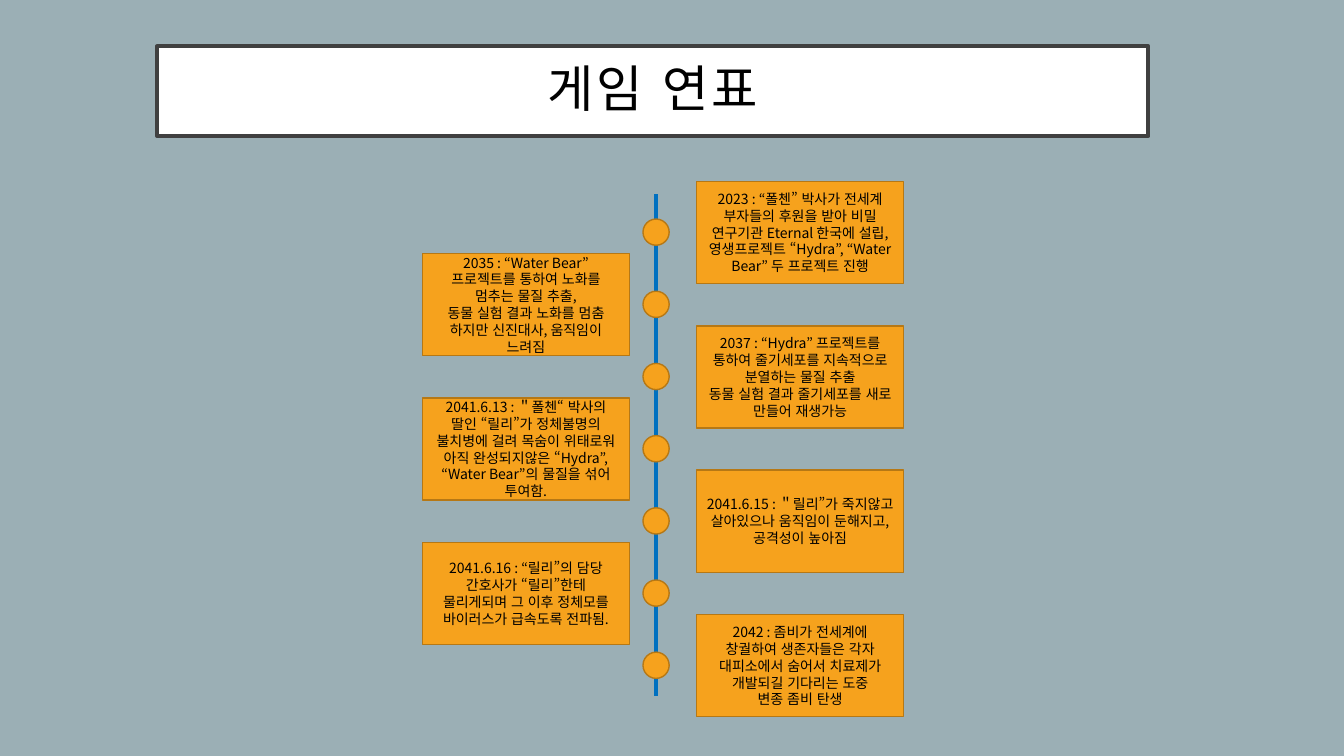
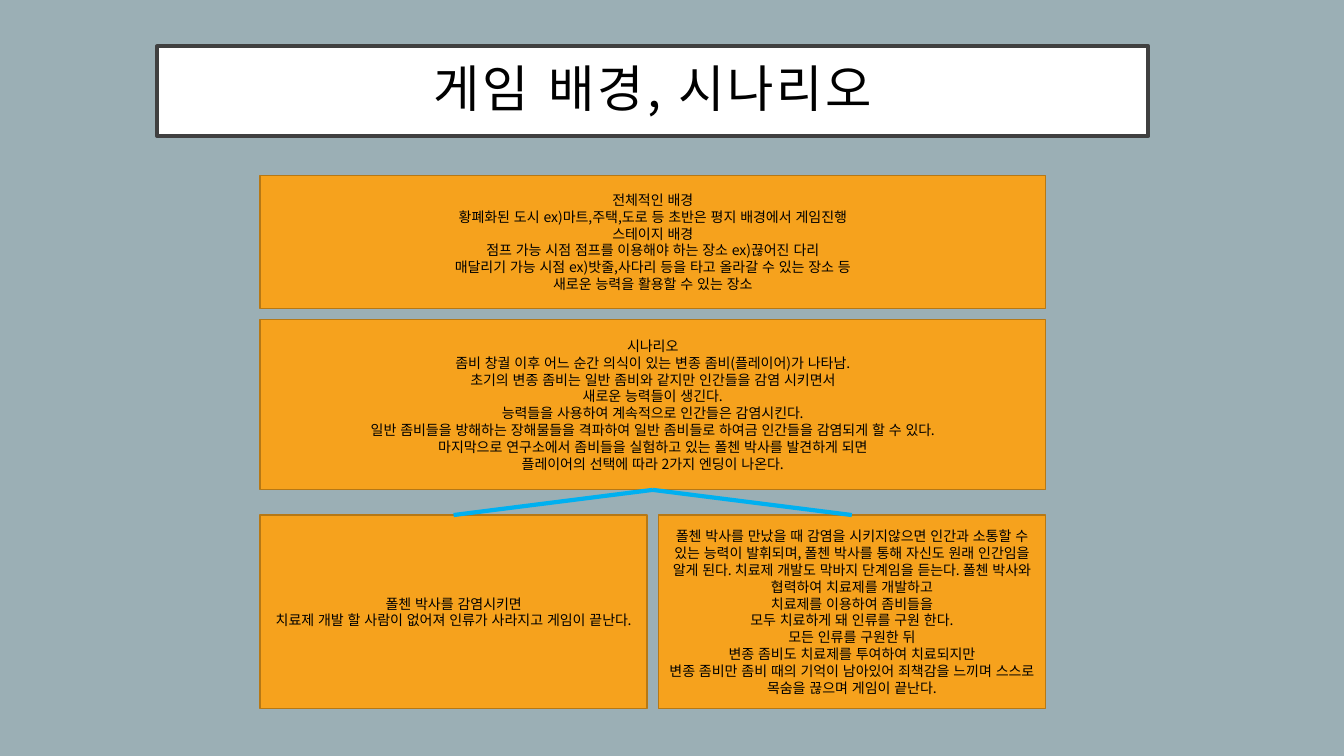
from lxml import etree
from pptx import Presentation
from pptx.dml.color import RGBColor
from pptx.enum.lang import MSO_LANGUAGE_ID
from pptx.enum.shapes import MSO_CONNECTOR, MSO_SHAPE
from pptx.enum.text import MSO_ANCHOR, PP_ALIGN
from pptx.oxml.ns import qn
from pptx.util import Inches, Pt

RECTANGLE, OVAL = MSO_SHAPE.RECTANGLE, MSO_SHAPE.OVAL
STRAIGHT = MSO_CONNECTOR.STRAIGHT
MIDDLE, CENTER = MSO_ANCHOR.MIDDLE, PP_ALIGN.CENTER
KOREAN = MSO_LANGUAGE_ID.KOREAN

FONT = "Noto Sans CJK KR"
BACKGROUND, BLACK, WHITE = "9BAFB5", "000000", "FFFFFF"
FRAME, ORANGE, BROWN = "404040", "F6A21D", "B67815"
AXIS_BLUE, BRANCH_BLUE = "0070C0", "00B0F0"

# All positions and sizes are percentages of the slide's width and height.
TITLE_BOX = (11.7, 6.13, 73.75, 11.87)
TITLE_FRAME = {
    "margin_left": Inches(0.3), "margin_right": Inches(0.3),
    "margin_top": Inches(0.2), "margin_bottom": Inches(0.2),
}


def color(hex_value):
    """Turn a hex string into a colour."""
    return RGBColor.from_string(hex_value)


def apply(target, values):
    """Set every attribute named in a dict of format values."""
    for name, value in values.items():
        setattr(target, name, value)


class Deck:
    """Holds the shared style and the slide being built."""

    def __init__(self):
        """Start an empty widescreen presentation."""
        self.presentation = Presentation()
        apply(self.presentation, {"slide_width": Inches(13.33), "slide_height": Inches(7.5)})
        self.slide = None

    def x(self, share):
        """Give a horizontal length from a share of the width."""
        return round(self.presentation.slide_width * share / 100)

    def y(self, share):
        """Give a vertical length from a share of the height."""
        return round(self.presentation.slide_height * share / 100)

    def new_slide(self, title):
        """Add a slide with the shared background and title band."""
        self.slide = self.presentation.slides.add_slide(self.presentation.slide_layouts[6])
        fill = self.slide.background.fill
        fill.solid()
        fill.fore_color.rgb = color(BACKGROUND)
        band = self.shape(RECTANGLE, TITLE_BOX, WHITE, FRAME, 3)
        apply(band.text_frame, TITLE_FRAME)
        self.add_text(band, [title], size=36, spacing=200, line_spacing=0.9)

    def shape(self, kind, box, fill=ORANGE, outline=BROWN, weight=1):
        """Draw a filled and outlined preset shape."""
        left, top, width, height = box
        shape = self.slide.shapes.add_shape(
            kind, self.x(left), self.y(top), self.x(width), self.y(height))
        shape.shadow.inherit = False
        shape.fill.solid()
        shape.fill.fore_color.rgb = color(fill)
        shape.line.color.rgb = color(outline)
        shape.line.width = Pt(weight)
        return shape

    def add_text(self, shape, lines, size=10, spacing=None, line_spacing=None):
        """Fill a shape with centred paragraphs."""
        frame = shape.text_frame
        apply(frame, {"word_wrap": True, "vertical_anchor": MIDDLE})
        for index, line in enumerate(lines):
            paragraph = frame.add_paragraph() if index else frame.paragraphs[0]
            apply(paragraph, {"alignment": CENTER, "line_spacing": line_spacing})
            run = paragraph.add_run()
            run.text = line
            apply(run.font, {"name": FONT, "size": Pt(size), "language_id": KOREAN})
            run.font.color.rgb = color(BLACK)
            properties = run._r.get_or_add_rPr()
            etree.SubElement(properties, qn("a:ea")).set("typeface", FONT)
            if spacing:
                properties.set("spc", str(spacing))

    def card(self, box, lines):
        """Draw an orange card with text."""
        self.add_text(self.shape(RECTANGLE, box), lines)

    def dot(self, box):
        """Draw a round marker."""
        self.shape(OVAL, box)

    def line(self, start, end, stroke):
        """Draw a thick straight line between two points."""
        connector = self.slide.shapes.add_connector(
            STRAIGHT, self.x(start[0]), self.y(start[1]), self.x(end[0]), self.y(end[1]))
        connector.line.color.rgb = color(stroke)
        connector.line.width = Pt(3)
        etree.SubElement(connector._element.spPr, qn("a:effectLst"))


EVENTS = [
    ["2023 : “폴첸” 박사가 전세계 부자들의 후원을 받아 비밀 연구기관 Eternal 한국에 설립, "
     "영생프로젝트 “Hydra”, “Water Bear” 두 프로젝트 진행"],
    ["2035 : “Water Bear” 프로젝트를 통하여 노화를 멈추는 물질 추출,",
     "동물 실험 결과 노화를 멈춤",
     "하지만 신진대사, 움직임이 느려짐"],
    ["2037 : “Hydra” 프로젝트를 통하여 줄기세포를 지속적으로 분열하는 물질 추출",
     "동물 실험 결과 줄기세포를 새로 만들어 재생가능"],
    ["2041.6.13 : ＂폴첸“ 박사의 딸인 “릴리”가 정체불명의 불치병에 걸려 목숨이 위태로워 "
     "아직 완성되지않은 “Hydra”, “Water Bear”의 물질을 섞어 투여함."],
    ["2041.6.15 : ＂릴리”가 죽지않고 살아있으나 움직임이 둔해지고, 공격성이 높아짐"],
    ["2041.6.16 : “릴리”의 담당 간호사가 “릴리”한테 물리게되며 그 이후 정체모를 "
     "바이러스가 급속도록 전파됨."],
    ["2042 : 좀비가 전세계에 창궐하여 생존자들은 각자 대피소에서 숨어서 치료제가 "
     "개발되길 기다리는 도중",
     "변종 좀비 탄생"],
]

SETTING = [
    "전체적인 배경",
    "황폐화된 도시 ex)마트,주택,도로 등 초반은 평지 배경에서 게임진행",
    "스테이지 배경",
    "점프 가능 시점 점프를 이용해야 하는 장소 ex)끊어진 다리",
    "매달리기 가능 시점 ex)밧줄,사다리 등을 타고 올라갈 수 있는 장소 등",
    "새로운 능력을 활용할 수 있는 장소",
]

SCENARIO = [
    "시나리오",
    "좀비 창궐 이후 어느 순간 의식이 있는 변종 좀비(플레이어)가 나타남.",
    "초기의 변종 좀비는 일반 좀비와 같지만 인간들을 감염 시키면서",
    "새로운 능력들이 생긴다.",
    "능력들을 사용하여 계속적으로 인간들은 감염시킨다.",
    "일반 좀비들을 방해하는 장해물들을 격파하여 일반 좀비들로 하여금 인간들을 감염되게 할 수 있다.",
    "마지막으로 연구소에서 좀비들을 실험하고 있는 폴첸 박사를 발견하게 되면",
    "플레이어의 선택에 따라 2가지 엔딩이 나온다.",
]

ENDINGS = [
    ["폴첸 박사를 감염시키면",
     "치료제 개발 할 사람이 없어져 인류가 사라지고 게임이 끝난다."],
    ["폴첸 박사를 만났을 때 감염을 시키지않으면 인간과 소통할 수 있는 능력이 발휘되며, "
     "폴첸 박사를 통해 자신도 원래 인간임을 알게 된다. 치료제 개발도 막바지 단계임을 듣는다. "
     "폴첸 박사와 협력하여 치료제를 개발하고",
     "치료제를 이용하여 좀비들을",
     "모두 치료하게 돼 인류를 구원 한다.",
     "모든 인류를 구원한 뒤",
     "변종 좀비도 치료제를 투여하여 치료되지만",
     "변종 좀비만 좀비 때의 기억이 남아있어 죄책감을 느끼며 스스로 목숨을 끊으며 게임이 끝난다."],
]


def build_timeline(deck):
    """Build the timeline with events on alternating sides."""
    deck.new_slide("게임 연표")
    axis, step = 48.82, 9.55
    dot_width, dot_height = 1.95, 3.47
    sides = (51.83, 31.43)
    deck.line((axis, 25.73), (axis, 92), AXIS_BLUE)
    for index, event in enumerate(EVENTS):
        offset = index * step
        deck.card((sides[index % 2], 24 + offset, 15.4, 13.5), event)
        deck.dot((axis - dot_width / 2, 28.97 + offset, dot_width, dot_height))


def build_scenario(deck):
    """Build the setting, the scenario and its two endings."""
    deck.new_slide("게임 배경, 시나리오")
    left, width = 19.35, 58.43
    scenario_top, scenario_height = 42.27, 22.53
    ending_top, ending_width = 68.13, 28.8
    deck.card((left, 23.2, width, 17.6), SETTING)
    deck.card((left, scenario_top, width, scenario_height), SCENARIO)
    fork = (left + width / 2, scenario_top + scenario_height)
    ending_lefts = (left, left + width - ending_width)
    for ending_left, ending in zip(ending_lefts, ENDINGS):
        deck.card((ending_left, ending_top, ending_width, 25.6), ending)
    for ending_left in ending_lefts:
        deck.line(fork, (ending_left + ending_width / 2, ending_top), BRANCH_BLUE)


deck = Deck()
build_timeline(deck)
build_scenario(deck)
deck.presentation.save("out.pptx")
